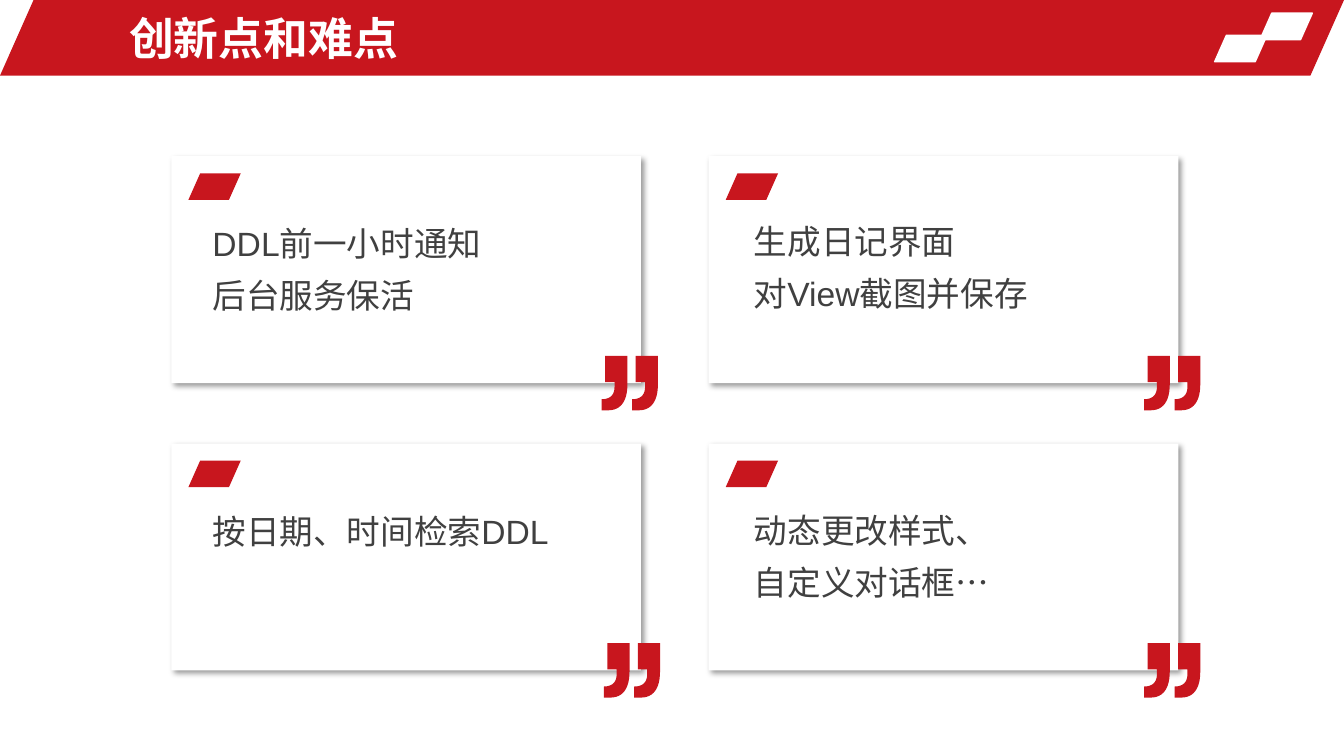
from lxml.etree import SubElement
from pptx import Presentation
from pptx.dml.color import RGBColor
from pptx.enum.shapes import MSO_SHAPE as Preset
from pptx.enum.text import MSO_ANCHOR as Anchor, MSO_AUTO_SIZE as AutoSize, PP_ALIGN as Align
from pptx.oxml.ns import qn
from pptx.util import Pt

TITLE = "创新点和难点"
CARDS = [
    {"col": 0, "row": 0, "text": (144.7, 146.9), "quote": 429.8,
     "lines": ["DDL前一小时通知", "后台服务保活"]},
    {"col": 1, "row": 0, "text": (531.4, 145.4), "quote": 817.2,
     "lines": ["生成日记界面", "对View截图并保存"]},
    {"col": 0, "row": 1, "text": (144.7, 352.8), "quote": 431.3,
     "lines": ["按日期、时间检索DDL"]},
    {"col": 1, "row": 1, "text": (531.4, 352.1), "quote": 817.2,
     "lines": ["动态更改样式、", "自定义对话框…"]},
]
COLORS = {"red": "C8161E", "white": "FFFFFF", "text": "404040", "shadow": "000000"}
FONT = "Arial"
SLIDE_W, SLIDE_H = 960, 540
BANNER_H = 54
CARD_LEFT, CARD_TOP, CARD_W, CARD_H = 122.4, 111.6, 335.5, 162
COL_STEP, ROW_STEP = 383.8, 205.2
TAG_W, TAG_H, TAG_INSET = 37.4, 18.9, 12.2
SLANT = 0.444
QUOTE_DROP, QUOTE_STEP = 142.6, 21.8
LINE_COUNT = 12


def color(name):
    return RGBColor.from_string(COLORS[name])


def paint(shape, fill, line=None):
    shape.shadow.inherit = False
    shape.fill.solid()
    shape.fill.fore_color.rgb = color(fill)
    if line:
        shape.line.color.rgb = color(line)
        shape.line.width = Pt(1)
    else:
        shape.line.fill.background()
    return shape


def add_preset(slide, preset, left, top, width, height, fill, line=None):
    shape = slide.shapes.add_shape(preset, Pt(left), Pt(top), Pt(width), Pt(height))
    if preset == Preset.PARALLELOGRAM:
        shape.adjustments[0] = SLANT
    return paint(shape, fill, line)


def cast_shadow(shape):
    effects = shape._element.spPr.find(qn("a:effectLst"))
    outer = SubElement(effects, qn("a:outerShdw"), blurRad=str(Pt(4)), dist=str(Pt(3)),
                       dir="2700000", algn="tl", rotWithShape="0")
    shade = SubElement(outer, qn("a:srgbClr"), val=COLORS["shadow"])
    SubElement(shade, qn("a:alpha"), val="40000")


def curve(start, pull_a, pull_b, end):
    points = []
    for step in range(1, LINE_COUNT + 1):
        t = step / LINE_COUNT
        weights = ((1 - t) ** 3, 3 * t * (1 - t) ** 2, 3 * t ** 2 * (1 - t), t ** 3)
        points.append(tuple(sum(w * p[axis] for w, p in zip(weights, (start, pull_a, pull_b, end)))
                            for axis in (0, 1)))
    return points


def comma_outline():
    return [(18.4, 0), (18.4, 20.2),
            *curve((18.4, 20.2), (18.4, 32.4), (13.7, 38.9), (4.7, 38.9)),
            (0, 38.9), (0, 31),
            *curve((0, 31), (6.2, 31), (9.2, 27.8), (9.2, 22.3)),
            (9.2, 18.7), (2.5, 18.7), (2.5, 0)]


def add_quote(slide, left, top):
    commas = [[(Pt(left + shift + x), Pt(top + y)) for x, y in comma_outline()]
              for shift in (0, QUOTE_STEP)]
    first, second = commas
    builder = slide.shapes.build_freeform(*first[0])
    builder.add_line_segments(first[1:], close=True)
    builder.move_to(*second[0])
    builder.add_line_segments(second[1:], close=True)
    paint(builder.convert_to_shape(), "red")


def add_run(paragraph, text, size, ink, bold=False):
    run = paragraph.add_run()
    run.text = text
    run.font.name = FONT
    run.font.size = Pt(size)
    run.font.bold = bold
    run.font.color.rgb = color(ink)


def add_banner(slide):
    title = slide.shapes.title
    banner = add_preset(slide, Preset.PARALLELOGRAM, 0, 0, SLIDE_W, BANNER_H, "red")
    title._element.addprevious(banner._element)
    for left, top in ((900, 9.4), (867.6, 25.2)):
        add_preset(slide, Preset.PARALLELOGRAM, left, top, TAG_W, TAG_H, "white", "white")
    title.left, title.top, title.width, title.height = Pt(85), Pt(3.6), Pt(557.3), Pt(46.8)
    frame = title.text_frame
    frame.auto_size = AutoSize.NONE
    frame.vertical_anchor = Anchor.MIDDLE
    frame.paragraphs[0].alignment = Align.LEFT
    add_run(frame.paragraphs[0], TITLE, 32, "white", bold=True)


def add_card(slide, card):
    left = CARD_LEFT + card["col"] * COL_STEP
    top = CARD_TOP + card["row"] * ROW_STEP
    cast_shadow(add_preset(slide, Preset.RECTANGLE, left, top, CARD_W, CARD_H, "white"))
    add_preset(slide, Preset.PARALLELOGRAM, left + TAG_INSET, top + TAG_INSET, TAG_W, TAG_H, "red")
    text_left, text_top = card["text"]
    box = slide.shapes.add_textbox(Pt(text_left), Pt(text_top), Pt(305.3),
                                   Pt(3 + 38 * len(card["lines"])))
    frame = box.text_frame
    frame.word_wrap = True
    frame.auto_size = AutoSize.SHAPE_TO_FIT_TEXT
    for index, line in enumerate(card["lines"]):
        paragraph = frame.add_paragraph() if index else frame.paragraphs[0]
        paragraph.line_spacing = 1.3
        add_run(paragraph, line, 24, "text")
    add_quote(slide, card["quote"], top + QUOTE_DROP)


def main():
    deck = Presentation()
    deck.slide_width, deck.slide_height = Pt(SLIDE_W), Pt(SLIDE_H)
    slide = deck.slides.add_slide(deck.slide_layouts[5])
    add_banner(slide)
    for card in CARDS:
        add_card(slide, card)
    deck.save("out.pptx")


if __name__ == "__main__":
    main()
